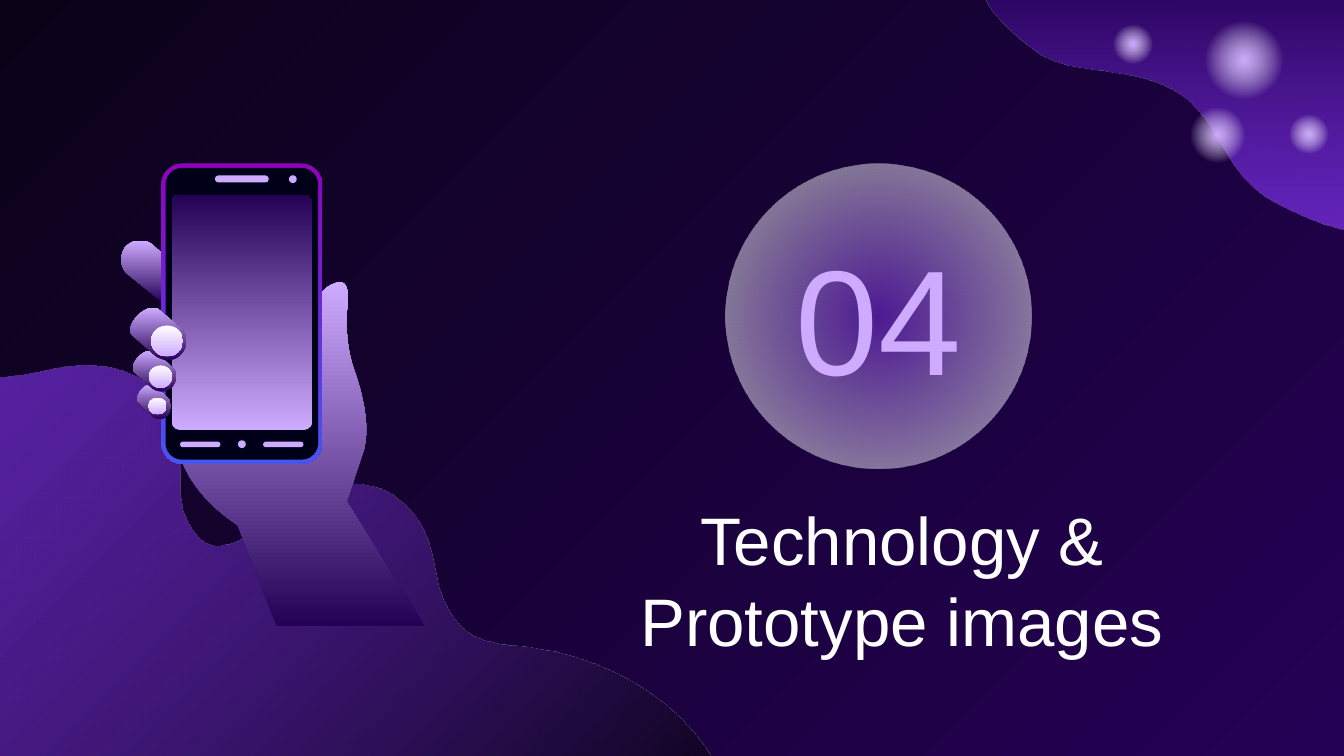
from lxml.etree import SubElement
from pptx import Presentation
from pptx.dml.color import RGBColor
from pptx.enum.shapes import MSO_SHAPE
from pptx.enum.text import MSO_ANCHOR, MSO_AUTO_SIZE, PP_ALIGN
from pptx.oxml.ns import qn
from pptx.util import Pt

COLORS = {
    "night": "0B0218",
    "indigo": "240155",
    "violet": "8134EC",
    "lilac": "CEABFF",
    "white": "FFFFFF",
    "black": "000018",
    "magenta": "9101BE",
    "blue": "4654F0",
}

SKIN = [(0, "indigo", 100), (100, "lilac", 100)]
SCREEN = [(0, "lilac", 100), (100, "indigo", 100)]
NAIL = [(0, "white", 100), (100, "lilac", 100)]
FRAME = [(0, "magenta", 100), (100, "blue", 100)]
GLOW = [(0, "lilac", 100), (57, "white", 0), (100, "white", 0)]
DISC = [(0, "violet", 49), (77, "white", 49), (100, "white", 49)]

LOWER_WAVE = [
    (-36, 190.8),
    (-29.5, 195.1, -20.9, 200.2, -13, 201.6),
    (-1.4, 203.8, 10.1, 201.6, 21.6, 199.4),
    (30.2, 197.3, 38.9, 195.8, 46.8, 195.8),
    (67.7, 195.8, 85, 205.2, 93.6, 223.9),
    (102.2, 243.4, 90, 265, 103, 283.7),
    (116.6, 304.6, 138.2, 283, 151.2, 272.9),
    (166.3, 261.4, 190.8, 253.4, 208.8, 264.2),
    (217.4, 269.3, 224.6, 277.9, 228.2, 286.6),
    (232.6, 296.6, 232.6, 307.4, 236.2, 317.5),
    (239, 326.2, 246.2, 337.7, 255.6, 341.3),
    (265.7, 345.6, 276.5, 345.6, 287.3, 347),
    (330.5, 353.5, 371.5, 379.4, 388.8, 419.8),
    (391, 424.8, 393.1, 432.7, 393.1, 438.5),
    (-67, 438.5),
    (-59.8, 163.4),
    (-56.9, 172.8, -43.9, 185, -36, 190.8),
]
UPPER_WAVE = [
    (729.4, -15),
    (561.6, -14.4),
    (554.4, -14.4, 532.1, -17.3, 527.8, -8.6),
    (522.7, 1.4, 545.8, 20.9, 553, 25.9),
    (564.5, 35.3, 577.4, 36, 591.8, 38.2),
    (607, 40.3, 621.4, 42.5, 634.3, 51.8),
    (645.1, 60.5, 651.6, 72.7, 658.1, 83.5),
    (665.3, 95.8, 674, 104.4, 688.3, 110.9),
    (698.4, 115.9, 713.5, 123.1, 725.8, 123.1),
    (727.2, 115.2, 726.5, 106.6, 726.5, 98.6),
    (729.4, 74.2),
]
HAND = [
    (182.2, 151.2),
    (180.7, 151.2, 179.3, 151.9, 179.3, 151.9),
    (169.9, 154.8, 166.3, 168.5, 166.3, 168.5),
    (96.5, 243.4),
    (96.5, 243.4, 100.1, 263.5, 127.4, 281.5),
    (148.3, 335.5),
    (227.5, 335.5),
    (185.8, 268.6),
    (195.1, 240.5),
    (199.4, 223.9, 190.1, 199.4, 190.1, 199.4),
    (184.3, 183.6, 185.8, 167, 185.8, 167),
    (187.9, 153.4, 184.3, 151.2, 182.2, 151.2),
]
STRAIGHT_FINGER = [
    (74.9, 128.9),
    (72, 128.9, 69.1, 130.3, 67, 132.5),
    (64.1, 136.8, 64.1, 143.3, 68.4, 146.9),
    (84.2, 159.8),
    (86.4, 161.3, 88.6, 162, 90.7, 162),
    (93.6, 162, 96.5, 161.3, 98.6, 159.1),
    (102.2, 154.8, 101.5, 148.3, 97.2, 144.7),
    (81.4, 131),
    (79.9, 129.6, 77, 128.9, 74.9, 128.9),
]
CURLED_FINGER = [
    (0.46, 0),
    (0.25, 0, 0, 0.41, 0.15, 0.54),
    (0.5, 0.92),
    (0.56, 0.97, 0.63, 1, 0.69, 1),
    (0.77, 1, 0.85, 0.95, 0.9, 0.87),
    (1, 0.72, 1, 0.51, 0.88, 0.38),
    (0.54, 0.03),
    (0.52, 0, 0.48, 0, 0.46, 0),
]


def fit(outline, left, top, width, height):
    return [
        tuple(left + v * width if i % 2 == 0 else top + v * height for i, v in enumerate(segment))
        for segment in outline
    ]


def flatten(outline, steps=12):
    points = [outline[0]]
    for segment in outline[1:]:
        if len(segment) == 2:
            points.append(segment)
            continue
        corners = [points[-1], segment[:2], segment[2:4], segment[4:]]
        for step in range(1, steps + 1):
            t = step / steps
            weights = ((1 - t) ** 3, 3 * t * (1 - t) ** 2, 3 * t * t * (1 - t), t ** 3)
            points.append(tuple(sum(w * c[axis] for w, c in zip(weights, corners)) for axis in (0, 1)))
    return [(Pt(x), Pt(y)) for x, y in points]


class SlideBuilder:
    font = "Arial"
    inset = Pt(7.2)

    def __init__(self, slide):
        self.slide = slide

    def gradient(self, fill, element, stops, angle=None):
        fill.gradient()
        gradient = next(element.iter(qn("a:gradFill")))
        for child in list(gradient):
            gradient.remove(child)
        stop_list = SubElement(gradient, qn("a:gsLst"))
        for position, color, opacity in stops:
            stop = SubElement(stop_list, qn("a:gs"), pos=str(position * 1000))
            value = SubElement(stop, qn("a:srgbClr"), val=COLORS[color])
            if opacity < 100:
                SubElement(value, qn("a:alpha"), val=str(opacity * 1000))
        if angle is None:
            center = SubElement(gradient, qn("a:path"), path="circle")
            SubElement(center, qn("a:fillToRect"), l="50000", t="50000", r="50000", b="50000")
        else:
            SubElement(gradient, qn("a:lin"), ang=str(angle * 60000), scaled="0")

    def background(self, stops, angle):
        self.gradient(self.slide.background.fill, self.slide.element, stops, angle)

    def finish(self, shape, paint, angle):
        shape.shadow.inherit = False
        shape.line.fill.background()
        if isinstance(paint, str):
            shape.fill.solid()
            shape.fill.fore_color.rgb = RGBColor.from_string(COLORS[paint])
        else:
            self.gradient(shape.fill, shape.element, paint, angle)

    def ellipse(self, box, paint, angle=None):
        shape = self.slide.shapes.add_shape(MSO_SHAPE.OVAL, *map(Pt, box))
        self.finish(shape, paint, angle)

    def rounded(self, box, paint, angle=None, radius=0.5):
        shape = self.slide.shapes.add_shape(MSO_SHAPE.ROUNDED_RECTANGLE, *map(Pt, box))
        shape.adjustments[0] = radius
        self.finish(shape, paint, angle)

    def outline(self, outline, paint, angle):
        points = flatten(outline)
        builder = self.slide.shapes.build_freeform(*points[0], scale=1.0)
        builder.add_line_segments(points[1:], close=True)
        self.finish(builder.convert_to_shape(), paint, angle)

    def place_text(self, text, *, placeholder, box, size, color):
        shape = self.slide.placeholders[placeholder]
        shape.left, shape.top, shape.width, shape.height = map(Pt, box)
        shape.element.getparent().append(shape.element)
        frame = shape.text_frame
        frame.text = text
        frame.word_wrap = True
        frame.auto_size = MSO_AUTO_SIZE.NONE
        frame.vertical_anchor = MSO_ANCHOR.MIDDLE
        frame.margin_left = frame.margin_right = frame.margin_top = frame.margin_bottom = self.inset
        for paragraph in frame.paragraphs:
            paragraph.alignment = PP_ALIGN.CENTER
            paragraph.space_before = Pt(0)
            for run in paragraph.runs:
                run.font.name = self.font
                run.font.size = Pt(size)
                run.font.color.rgb = RGBColor.from_string(COLORS[color])


def main():
    presentation = Presentation()
    presentation.slide_width, presentation.slide_height = Pt(720), Pt(405)
    builder = SlideBuilder(presentation.slides.add_slide(presentation.slide_layouts[0]))

    builder.background([(0, "night", 100), (100, "indigo", 100)], 45)
    builder.outline(LOWER_WAVE, [(0, "night", 100), (100, "violet", 70)], 225)
    builder.outline(UPPER_WAVE, [(0, "violet", 70), (100, "indigo", 100)], 270)
    for x, y, size in [(666.4, 32.4, 52), (701.3, 72, 26), (607, 23.8, 26), (652.3, 72.4, 36.8)]:
        builder.ellipse((x - size / 2, y - size / 2, size, size), GLOW)

    builder.ellipse((388.8, 87.6, 163.6, 163.6), DISC)
    builder.place_text("Technology &\vPrototype images", placeholder=0,
                       box=(290.2, 262.1, 385.9, 96.5), size=36, color="white")
    builder.place_text("04", placeholder=1, box=(400.3, 126.7, 141.1, 85), size=80, color="lilac")

    builder.outline(HAND, SKIN, 270)
    builder.outline(STRAIGHT_FINGER, SKIN, 270)
    builder.rounded((86.4, 87.6, 86.4, 161), FRAME, 90, radius=0.13)
    builder.rounded((88.7, 89.9, 81.8, 156.4), "black", radius=0.11)
    builder.rounded((92, 104.4, 75.3, 126), SCREEN, 270, radius=0.06)
    for bar in [(96.5, 236.6, 21.6, 3), (141, 236.6, 21.6, 3), (115.2, 94, 28.8, 3.8)]:
        builder.rounded(bar, "lilac")
    for left, top in [(127.5, 235.9), (154.8, 93.9)]:
        builder.ellipse((left, top, 4.2, 4.2), "lilac")
    for finger, nail in [
        ((71.3, 205.9, 20.9, 18.7), (79.5, 213, 9.8, 9)),
        ((68.4, 187.9, 26.6, 22), (79.8, 195.8, 12.4, 12)),
        ((66.2, 164.9, 34.6, 28.1), (81, 174.4, 17, 16.6)),
    ]:
        builder.outline(fit(CURLED_FINGER, *finger), SKIN, 270)
        builder.ellipse(nail, NAIL, 90)

    presentation.save("out.pptx")


if __name__ == "__main__":
    main()
